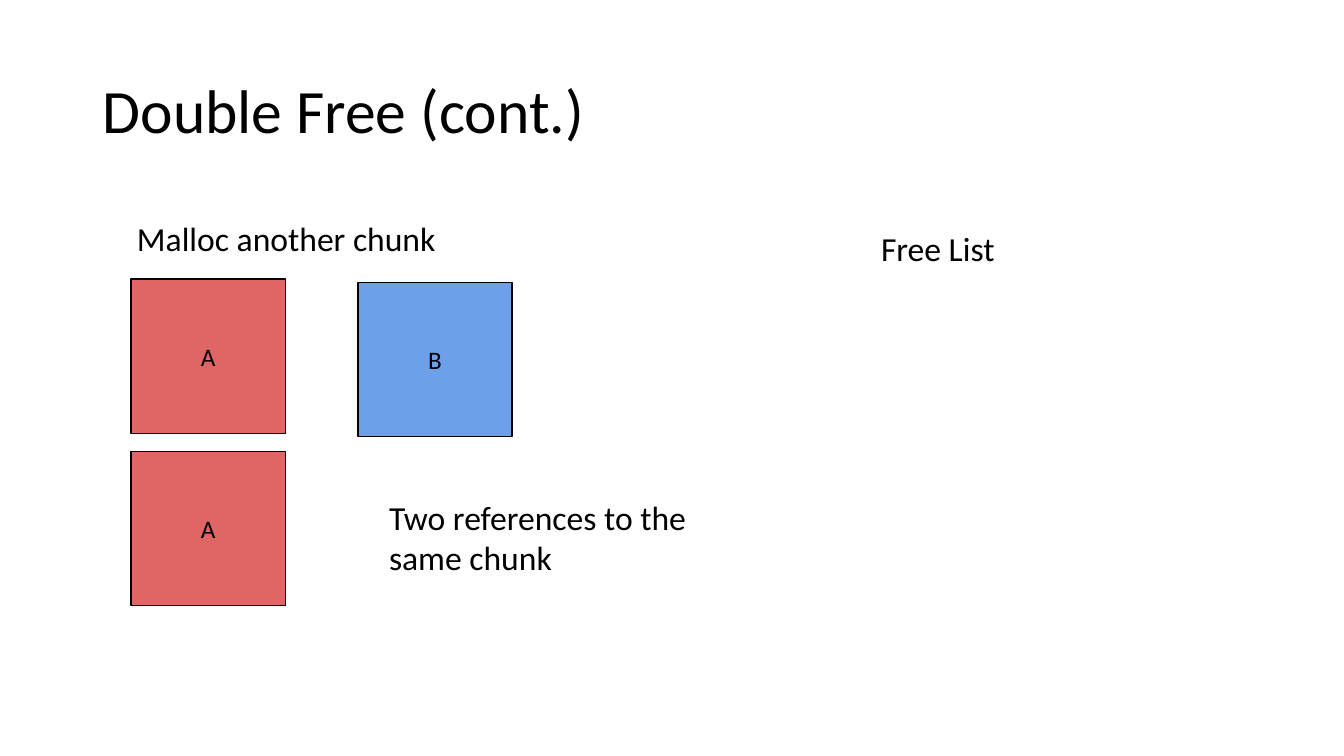
import pptx
import pptx.util
import pptx.dml.color
import pptx.enum.shapes
import pptx.enum.text
from pptx.util import Inches

FONT = "Calibri"
COLORS = {"black": "000000", "chunk_a": "E06665", "chunk_b": "6D9FEB"}
CHUNK_SIZE = 1.53


def color(name):
    return pptx.dml.color.RGBColor.from_string(COLORS[name])


def set_text(shape, text, size):
    """Fill a shape with one paragraph and return that paragraph."""
    shape.text_frame.word_wrap = True
    paragraph = shape.text_frame.paragraphs[0]
    paragraph.text = text
    font = paragraph.runs[0].font
    font.name = FONT
    font.size = pptx.util.Pt(size)
    font.color.rgb = color("black")
    return paragraph


def add_title(slide, text):
    box = slide.shapes.add_textbox(Inches(0.92), Inches(0.4), Inches(11.5), Inches(1.45))
    box.text_frame.vertical_anchor = pptx.enum.text.MSO_ANCHOR.MIDDLE
    set_text(box, text, 44).line_spacing = 0.9


def add_label(slide, text, left, top, width, height=0.5):
    box = slide.shapes.add_textbox(Inches(left), Inches(top), Inches(width), Inches(height))
    set_text(box, text, 24)
    box.text_frame.auto_size = pptx.enum.text.MSO_AUTO_SIZE.SHAPE_TO_FIT_TEXT


def add_chunk(slide, name, fill, left, top):
    chunk = slide.shapes.add_shape(
        pptx.enum.shapes.MSO_SHAPE.RECTANGLE,
        Inches(left), Inches(top), Inches(CHUNK_SIZE), Inches(CHUNK_SIZE))
    chunk.shadow.inherit = False
    chunk.fill.solid()
    chunk.fill.fore_color.rgb = color(fill)
    chunk.line.color.rgb = color("black")
    chunk.line.width = pptx.util.Pt(1)
    chunk.text_frame.vertical_anchor = pptx.enum.text.MSO_ANCHOR.MIDDLE
    set_text(chunk, name, 18).alignment = pptx.enum.text.PP_ALIGN.CENTER


def main():
    presentation = pptx.Presentation()
    presentation.slide_width = Inches(13.33)
    presentation.slide_height = Inches(7.5)
    slide = presentation.slides.add_slide(presentation.slide_layouts[6])

    add_title(slide, "Double Free (cont.)")

    # Allocated chunks
    add_label(slide, "Malloc another chunk", 1.26, 2.11, 4.12)
    add_chunk(slide, "A", "chunk_a", 1.3, 2.77)
    add_chunk(slide, "B", "chunk_b", 3.55, 2.8)
    add_chunk(slide, "A", "chunk_a", 1.3, 4.48)
    add_label(slide, "Two references to the same chunk", 3.76, 4.88, 3.68, 0.91)

    # Empty free list
    add_label(slide, "Free List", 8.64, 2.21, 3.3)

    presentation.save("out.pptx")


if __name__ == "__main__":
    main()
